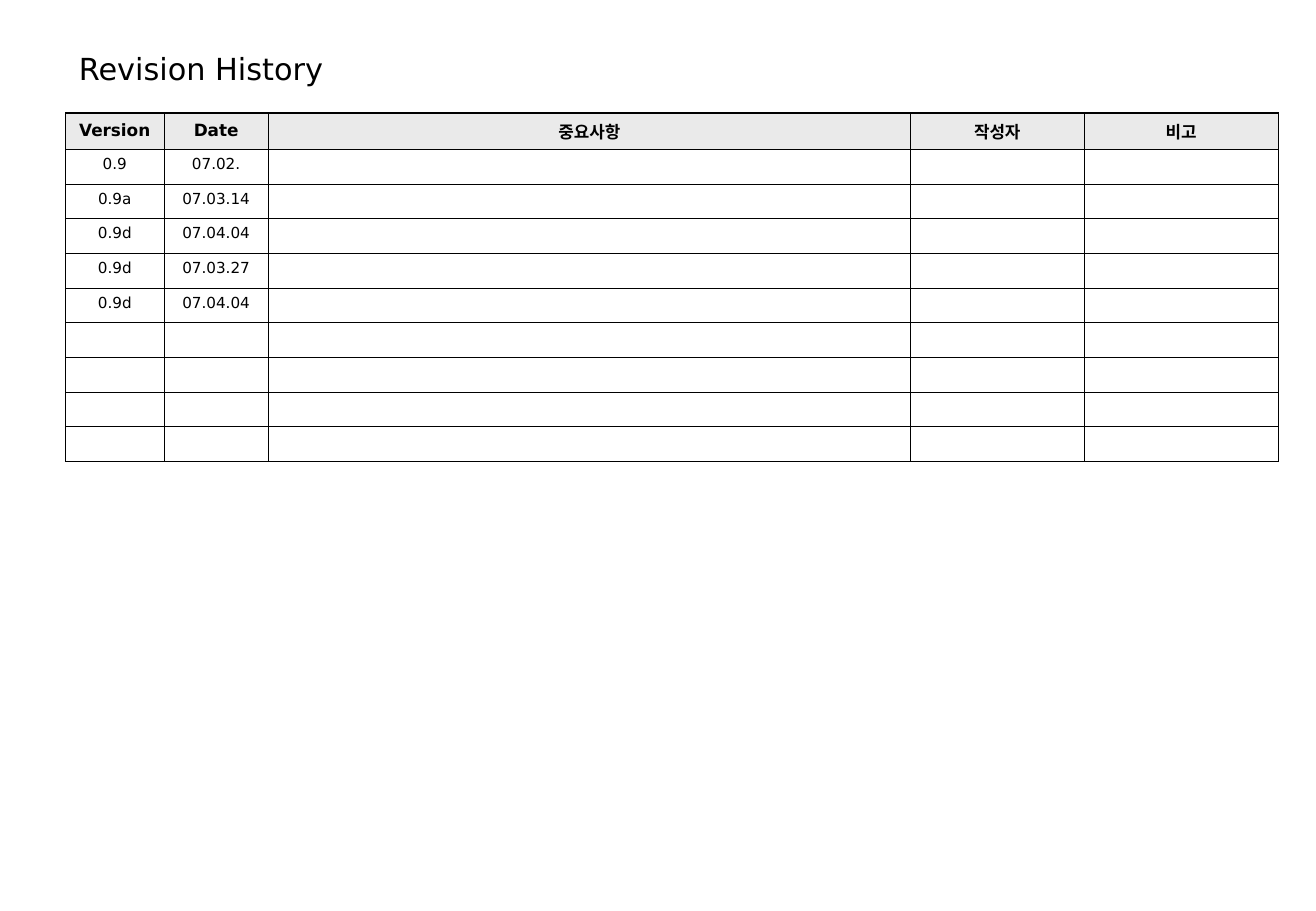
"""Build the revision history slide."""
import pptx
import pptx.util
import pptx.dml.color
import pptx.enum.text
import pptx.oxml
import pptx.oxml.ns

TITLE = "Revision History"
HEADER = ("Version", "Date", "중요사항", "작성자", "비고")
REVISIONS = [
    ("0.9", "07.02."),
    ("0.9a", "07.03.14"),
    ("0.9d", "07.04.04"),
    ("0.9d", "07.03.27"),
    ("0.9d", "07.04.04"),
]
EMPTY_ROWS = 4
COL_WIDTHS = (0.81, 0.86, 5.29, 1.43, 1.6)
LEFT, TOP, HEIGHT, HEADER_HEIGHT = 0.54, 0.93, 2.87, 0.3
FONT = "DejaVu Sans"
COLORS = {"text": "000000", "border": "000000", "header": "EAEAEA", "paper": "FFFFFF"}
OUTER, INNER = 0.75, 0.45

Inches, Pt = pptx.util.Inches, pptx.util.Pt
MIDDLE, ANCHOR_TOP = pptx.enum.text.MSO_ANCHOR.MIDDLE, pptx.enum.text.MSO_ANCHOR.TOP


def rgb(name):
    return pptx.dml.color.RGBColor.from_string(COLORS[name])


def write(p, text, size, bold=False):
    p.text = text
    p.font.name, p.font.size, p.font.bold = FONT, Pt(size), bold
    p.font.color.rgb = rgb("text")


def set_borders(cell, on_edge):
    tcPr = cell._tc.get_or_add_tcPr()
    for i, (side, outer) in enumerate(on_edge.items()):
        width = Pt(OUTER if outer else INNER)
        tcPr.insert(i, pptx.oxml.parse_xml(
            f'<a:{side} {pptx.oxml.ns.nsdecls("a")} w="{width}"><a:solidFill>'
            f'<a:srgbClr val="{COLORS["border"]}"/></a:solidFill></a:{side}>'))


def add_title(s):
    tf = s.shapes.add_textbox(Inches(0.61), Inches(0.44), Inches(3.46), Inches(0.24)).text_frame
    tf.word_wrap = True
    tf.vertical_anchor = MIDDLE
    tf.margin_left = Inches(0.04)
    tf.margin_top = tf.margin_right = tf.margin_bottom = 0
    write(tf.paragraphs[0], TITLE, 18)


def add_history(s):
    rows = [HEADER] + REVISIONS + [()] * EMPTY_ROWS
    last_row, last_col = len(rows) - 1, len(COL_WIDTHS) - 1
    table = s.shapes.add_table(len(rows), len(COL_WIDTHS), Inches(LEFT), Inches(TOP),
                               Inches(sum(COL_WIDTHS)), Inches(HEIGHT)).table
    table.horz_banding = False
    for col, width in zip(table.columns, COL_WIDTHS):
        col.width = Inches(width)
    for r, values in enumerate(rows):
        head = r == 0
        table.rows[r].height = Inches(HEADER_HEIGHT if head else (HEIGHT - HEADER_HEIGHT) / last_row)
        for c in range(len(COL_WIDTHS)):
            cell = table.cell(r, c)
            cell.fill.solid()
            cell.fill.fore_color.rgb = rgb("header" if head else "paper")
            cell.vertical_anchor = MIDDLE if head else ANCHOR_TOP
            p = cell.text_frame.paragraphs[0]
            p.alignment = pptx.enum.text.PP_ALIGN.CENTER
            p.space_before = Pt(2.5 if head else 2.2)
            write(p, values[c] if c < len(values) else "", 10 if head else 9, head)
            set_borders(cell, {"lnL": c == 0, "lnR": c == last_col,
                               "lnT": r == 0, "lnB": r == last_row})


def main():
    prs = pptx.Presentation()
    prs.slide_width, prs.slide_height = Inches(10.84), Inches(7.5)
    s = prs.slides.add_slide(prs.slide_layouts[6])
    add_title(s)
    add_history(s)
    prs.save("out.pptx")


if __name__ == "__main__":
    main()
